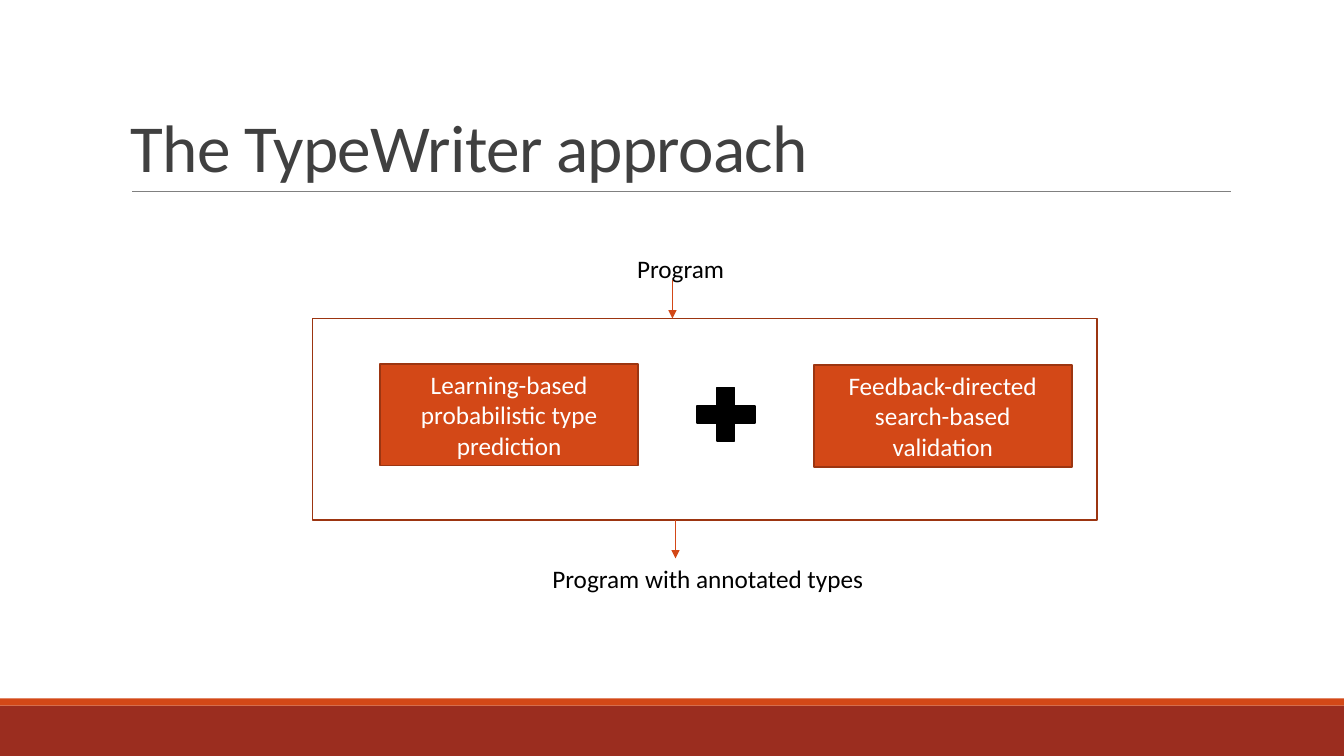
"""Builds the slide that outlines the TypeWriter approach."""
from lxml.etree import SubElement
from pptx import Presentation
from pptx.dml.color import RGBColor
from pptx.enum.shapes import MSO_CONNECTOR as LINE, MSO_SHAPE as SHAPE
from pptx.enum.text import MSO_ANCHOR as ANCHOR, PP_ALIGN as ALIGN
from pptx.oxml.ns import qn
from pptx.util import Inches, Pt

COLORS = {"footer": "9B2D1F", "accent": "D34817", "outline": "9C3511", "rule": "808080",
          "title": "404040", "black": "000000", "white": "FFFFFF"}
FONT = "Calibri"
TITLE = "The TypeWriter approach"
BANDS = [((0, 7, 13.33, 0.5), "footer"), ((0, 6.93, 13.33, 0.07), "accent")]
STEPS = [("Learning-based probabilistic type prediction", (3.77, 3.61, 2.56, 1.01)),
         ("Feedback-directed search-based validation", (8.07, 3.62, 2.56, 1.01))]
PLUS = (6.81, 3.75, 0.78, 0.72)
APPROACH = (3.1, 3.16, 7.78, 2)
ENDS = [("Program", (6.22, 2.46, 1.86, 0.4)),
        ("Program with annotated types", (5.38, 5.54, 3.52, 0.4))]
ARROW_LENGTH = 0.38
ARROWS = [(6.67, APPROACH[1] - ARROW_LENGTH), (6.7, APPROACH[1] + APPROACH[3])]


def rgb(name):
    return RGBColor.from_string(COLORS[name])


def write(holder, text, color, size=18, align=ALIGN.LEFT, anchor=ANCHOR.TOP):
    frame = holder.text_frame
    frame.word_wrap = True
    frame.vertical_anchor = anchor
    paragraph = frame.paragraphs[0]
    paragraph.alignment = align
    run = paragraph.add_run()
    run.text = text
    run.font.name, run.font.size = FONT, Pt(size)
    run.font.color.rgb = rgb(color)
    return paragraph, run


def add_box(place, fill=None, outline=None, kind=SHAPE.RECTANGLE):
    box = slide.shapes.add_shape(kind, *map(Inches, place))
    box.shadow.inherit = False
    if fill:
        box.fill.solid()
        box.fill.fore_color.rgb = rgb(fill)
    else:
        box.fill.background()
    if outline:
        box.line.color.rgb = rgb(outline)
        box.line.width = Pt(1.25)
    else:
        box.line.fill.background()
    return box


def add_label(place, text, color, **style):
    return write(slide.shapes.add_textbox(*map(Inches, place)), text, color, **style)


def add_line(start, end, color, width, arrow=False):
    line = slide.shapes.add_connector(LINE.STRAIGHT, *map(Inches, start + end))
    line.line.color.rgb = rgb(color)
    line.line.width = Pt(width)
    if arrow:
        SubElement(line.line._get_or_add_ln(), qn("a:tailEnd"), type="triangle")
    SubElement(line._element.spPr, qn("a:effectLst"))


deck = Presentation()
deck.slide_width, deck.slide_height = Inches(13.33), Inches(7.5)
slide = deck.slides.add_slide(deck.slide_layouts[6])

for place, color in BANDS:
    add_box(place, color)
add_line((1.31, 1.9), (12.21, 1.9), "rule", 0.5)
heading, heading_run = add_label((1.2, 0.31, 11, 1.59), TITLE, "title",
                                 size=48, anchor=ANCHOR.BOTTOM)
heading.line_spacing = 0.85
heading_run.font._element.set("spc", "-50")

for step, place in STEPS:
    write(add_box(place, "accent", "outline"), step, "white",
          align=ALIGN.CENTER, anchor=ANCHOR.MIDDLE)
add_box(PLUS, "black", "black", SHAPE.MATH_PLUS)
add_box(APPROACH, outline="outline")

for text, place in ENDS:
    add_label(place, text, "black")
for x, top in ARROWS:
    add_line((x, top), (x, top + ARROW_LENGTH), "accent", 1, arrow=True)

deck.save("out.pptx")
